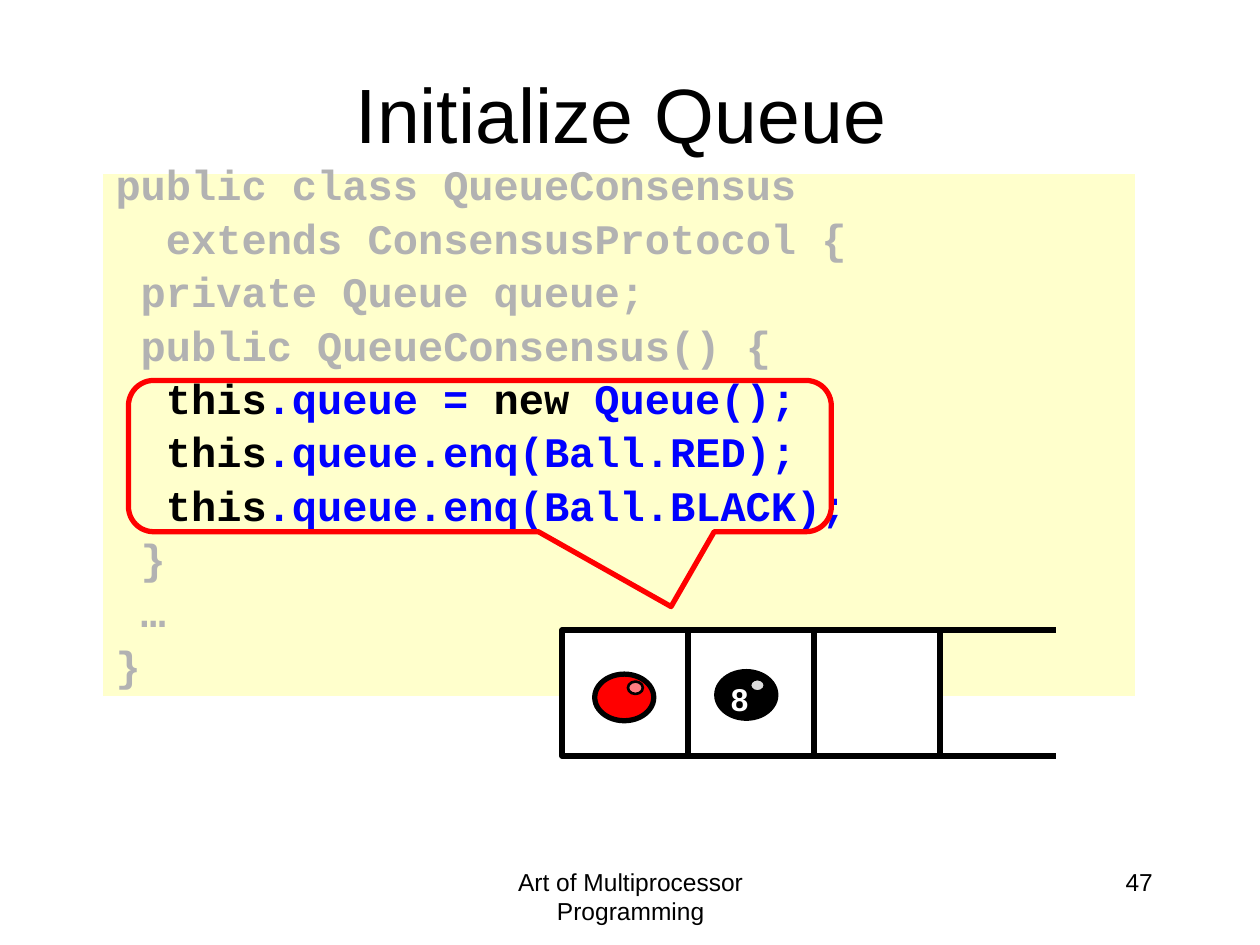
from pptx import Presentation
from pptx.dml.color import RGBColor
from pptx.enum.shapes import MSO_CONNECTOR, MSO_SHAPE
from pptx.enum.text import MSO_ANCHOR, PP_ALIGN
from pptx.oxml.ns import qn
from pptx.util import Cm, Pt
from lxml.etree import SubElement

COLORS = {
    "black": "000000", "white": "FFFFFF", "cream": "FFFFCC", "gray": "B2B2B2",
    "blue": "0000FF", "red": "FF0000", "pink": "FF7C80", "silver": "DDDDDD",
}
CODE_FONT = {"name": "Courier New", "size": Pt(24), "bold": True}
CODE = [
    [("public class QueueConsensus", "gray")],
    [("  extends ConsensusProtocol {", "gray")],
    [(" private Queue queue;", "gray")],
    [(" public QueueConsensus() {", "gray")],
    [("  ", "blue"), ("this", "black"), (".queue = ", "blue"),
     ("new", "black"), (" Queue();", "blue")],
    [("  ", "blue"), ("this", "black"), (".queue.enq(Ball.RED);", "blue")],
    [("  ", "blue"), ("this", "black"), (".queue.enq(Ball.BLACK);", "blue")],
    [(" }", "gray")],
    [(" …", "gray")],
    [("}", "gray")],
]


def color(name):
    """Return the named colour."""
    return RGBColor.from_string(COLORS[name])


def apply(target, formats):
    """Set every attribute in formats on target."""
    for attribute, value in formats.items():
        setattr(target, attribute, value)


def add_run(paragraph, words, ink, formats):
    """Append one formatted run to a paragraph."""
    run = paragraph.add_run()
    run.text = words
    apply(run.font, formats)
    run.font.color.rgb = color(ink)


def add_label(shapes, box, words, size, align, ink="black", bold=False, **frame_formats):
    """Place one paragraph of Arial text in a box."""
    frame = shapes.add_textbox(*map(Cm, box)).text_frame
    apply(frame, {"word_wrap": True, **frame_formats})
    paragraph = frame.paragraphs[0]
    paragraph.alignment = align
    add_run(paragraph, words, ink, {"name": "Arial", "size": Pt(size), "bold": bold})


def add_figure(shapes, kind, box, fill=None, line=None, width=3):
    """Place a preset shape with the given fill and outline."""
    figure = shapes.add_shape(kind, *map(Cm, box))
    figure.shadow.inherit = False
    if fill:
        figure.fill.solid()
        figure.fill.fore_color.rgb = color(fill)
    else:
        figure.fill.background()
    if line:
        figure.line.color.rgb = color(line)
        figure.line.width = Pt(width)
    else:
        figure.line.fill.background()
    return figure


def add_code(shapes, box):
    """Fill the box with the class listing."""
    panel = add_figure(shapes, MSO_SHAPE.RECTANGLE, box, "cream")
    frame = panel.text_frame
    apply(frame, {"word_wrap": True, "vertical_anchor": MSO_ANCHOR.BOTTOM})
    for number, code_line in enumerate(CODE):
        paragraph = frame.add_paragraph() if number else frame.paragraphs[0]
        apply(paragraph, {"alignment": PP_ALIGN.LEFT, "line_spacing": 1.06})
        for words, ink in code_line:
            add_run(paragraph, words, ink, CODE_FONT)


def add_callout(shapes, box):
    """Outline the box and point from it to the queue."""
    callout = add_figure(shapes, MSO_SHAPE.ROUNDED_RECTANGULAR_CALLOUT, box, line="red")
    for number, value in enumerate((0.272, 0.995, 0.167)):
        callout.adjustments[number] = value


def add_rail(shapes, left, top, length):
    """Draw a horizontal rail of the open queue end."""
    rail = shapes.add_connector(
        MSO_CONNECTOR.STRAIGHT, Cm(left), Cm(top), Cm(left + length), Cm(top))
    rail.line.color.rgb = color("black")
    rail.line.width = Pt(3)
    SubElement(rail._element.spPr, qn("a:effectLst"))


def add_ball(shapes, left, top, fill, glint, digit=None):
    """Draw a ball with its glint and an optional digit."""
    add_figure(shapes, MSO_SHAPE.OVAL, (left, top, 1.19, 0.94), fill, "black")
    add_figure(shapes, MSO_SHAPE.OVAL, (left + 0.67, top + 0.15, 0.3, 0.25),
               glint, "black", 1.5)
    if digit:
        add_label(shapes, (left, top + 0.05, 0.89, 1.02), digit, 18,
                  PP_ALIGN.RIGHT, "white", True, word_wrap=False)


def add_queue(shapes, left, top, cell):
    """Draw three cells, the open end and the two balls."""
    queue = shapes.add_group_shape().shapes
    for number in range(3):
        add_figure(queue, MSO_SHAPE.RECTANGLE,
                   (left + number * cell, top, cell, cell), "white", "black")
    for rail_top in (top, top + cell):
        add_rail(queue, left + 7.42, rail_top, cell)
    add_ball(queue, left + 3.12, top + 0.84, "black", "silver", "8")
    add_ball(queue, left + 0.66, top + 0.89, "red", "pink")


def add_footer(shapes, top, height):
    """Place the book title and the slide number."""
    add_label(shapes, (8.69, top, 8.05, height),
              "Art of Multiprocessor Programming", 14, PP_ALIGN.CENTER)
    add_label(shapes, (18.21, top, 5.28, height), "47", 14, PP_ALIGN.RIGHT)


def main():
    """Build and save the slide."""
    deck = Presentation()
    apply(deck, {"slide_width": Cm(25.4), "slide_height": Cm(19.05)})
    shapes = deck.slides.add_slide(deck.slide_layouts[6]).shapes
    add_footer(shapes, 17.35, 1.27)
    add_code(shapes, (2.08, 3.51, 20.8, 10.52))
    add_label(shapes, (1.73, 0.69, 21.59, 3.18), "Initialize Queue", 44,
              PP_ALIGN.CENTER, vertical_anchor=MSO_ANCHOR.MIDDLE)
    add_callout(shapes, (2.59, 7.67, 14.17, 3.05))
    add_queue(shapes, 11.33, 12.7, 2.54)
    deck.save("out.pptx")


if __name__ == "__main__":
    main()
